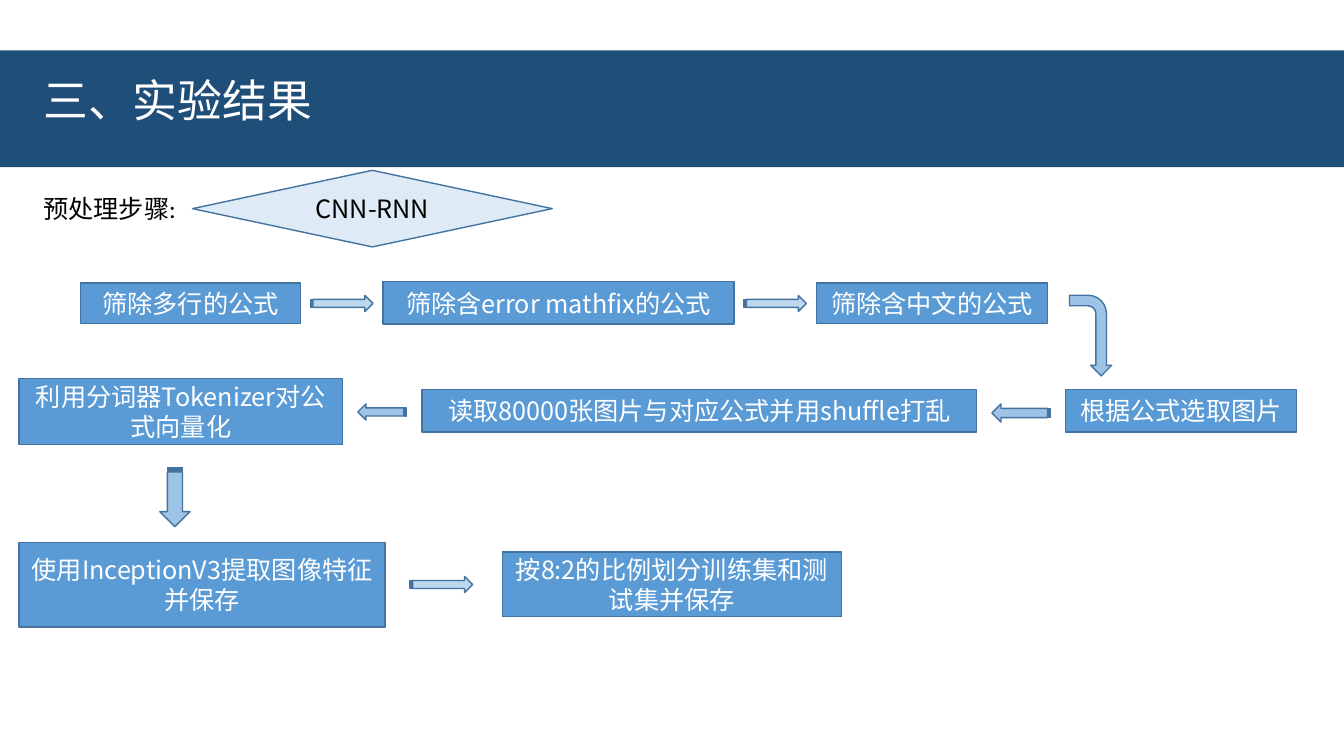
from lxml import etree
from pptx import Presentation
from pptx import util as u
from pptx.dml import color
from pptx.enum import shapes, text
from pptx.oxml import ns

KIND = shapes.MSO_SHAPE


def rgb(value):
    return color.RGBColor.from_string(value)


class FlowSlide:
    """Holds the style and the current slide, and draws its elements in points."""

    navy, blue, outline = "1F4E79", "5B9BD5", "43739E"
    pale, light, middle = "DEEBF7", "BDD7EE", "9DC3E6"
    white, black = "FFFFFF", "000000"
    box_font, body_font, title_font = "Noto Sans CJK SC", "Calibri", "Times New Roman"

    def __init__(self, presentation):
        self.slide = presentation.slides.add_slide(presentation.slide_layouts[6])

    def add_words(self, shape, words, font, ink, size=18, align=text.PP_ALIGN.LEFT,
                  anchor=text.MSO_ANCHOR.MIDDLE, spacing=None):
        frame = shape.text_frame
        frame.word_wrap = True
        frame.vertical_anchor = anchor
        paragraph = frame.paragraphs[0]
        paragraph.alignment = align
        paragraph.line_spacing = spacing
        run = paragraph.add_run()
        run.text = words
        run.font.name = font
        run.font.size = u.Pt(size)
        run.font.color.rgb = rgb(ink)
        east_asian = etree.SubElement(run.font._element, ns.qn("a:ea"))
        east_asian.set("typeface", self.body_font)

    def shape(self, kind, place, fill, outlined=True, rotation=0):
        shape = self.slide.shapes.add_shape(kind, *map(u.Pt, place))
        shape.shadow.inherit = False
        shape.rotation = rotation
        shape.fill.solid()
        shape.fill.fore_color.rgb = rgb(fill)
        if outlined:
            shape.line.color.rgb = rgb(self.outline)
            shape.line.width = u.Pt(1)
        else:
            shape.line.fill.background()
        return shape

    def label(self, place, words, font, ink, **style):
        box = self.slide.shapes.add_textbox(*map(u.Pt, place))
        self.add_words(box, words, font, ink, **style)

    def step(self, words, *place):
        box = self.shape(KIND.FLOWCHART_PROCESS, place, self.blue)
        self.add_words(box, words, self.box_font, self.white, align=text.PP_ALIGN.CENTER)

    def decision(self, words, *place):
        diamond = self.shape(KIND.FLOWCHART_DECISION, place, self.pale)
        self.add_words(diamond, words, self.box_font, self.black, align=text.PP_ALIGN.CENTER)

    def arrow(self, place, fill, rotation=0, kind=KIND.STRIPED_RIGHT_ARROW):
        self.shape(kind, place, fill, rotation=rotation)


STEPS = [
    ("筛除多行的公式", 57.6, 202.3, 157, 28.8),
    ("筛除含error mathfix的公式", 273.6, 201.3, 250.6, 30.2),
    ("筛除含中文的公式", 583.2, 202.3, 164.9, 28.8),
    ("根据公式选取图片", 761, 278.4, 164.9, 30.2),
    ("读取80000张图片与对应公式并用shuffle打乱", 301.5, 278.4, 396, 30.2),
    ("利用分词器Tokenizer对公式向量化", 13.7, 270.4, 231.1, 47.2),
    ("使用InceptionV3提取图像特征并保存", 13.7, 387.4, 261.4, 60.5),
    ("按8:2的比例划分训练集和测试集并保存", 359, 394.4, 241.9, 46.1),
]
FORWARD_ARROWS = [(221.8, 211), (531.4, 211), (293, 411.8)]
TURNED_ARROWS = [
    ((708.5, 288.5, 41.8, 13), 180),
    ((255.6, 288.5, 34.6, 11.5), 180),
    ((103.7, 344.2, 42.5, 21.6), 90),
]


def main():
    presentation = Presentation()
    presentation.slide_width, presentation.slide_height = u.Pt(960), u.Pt(540)
    flow = FlowSlide(presentation)
    flow.shape(KIND.RECTANGLE, (-0.5, 36, 960.5, 83.5), flow.navy, outlined=False)
    flow.label((23.8, 36, 913, 75.6), "三、实验结果", flow.title_font, flow.white,
               size=32, spacing=0.9)
    flow.label((23.8, 134.6, 868.3, 28.8), "预处理步骤:", flow.body_font, flow.black,
               anchor=text.MSO_ANCHOR.TOP)
    for step in STEPS:
        flow.step(*step)
    for left, top in FORWARD_ARROWS:
        flow.arrow((left, top, 44.6, 11.5), flow.light)
    for place, rotation in TURNED_ARROWS:
        flow.arrow(place, flow.middle, rotation)
    flow.arrow((750.2, 224.6, 57.6, 30.2), flow.middle, 90, KIND.BENT_ARROW)
    flow.decision("CNN-RNN", 137.5, 121.7, 257, 54.7)
    presentation.save("out.pptx")


if __name__ == "__main__":
    main()
